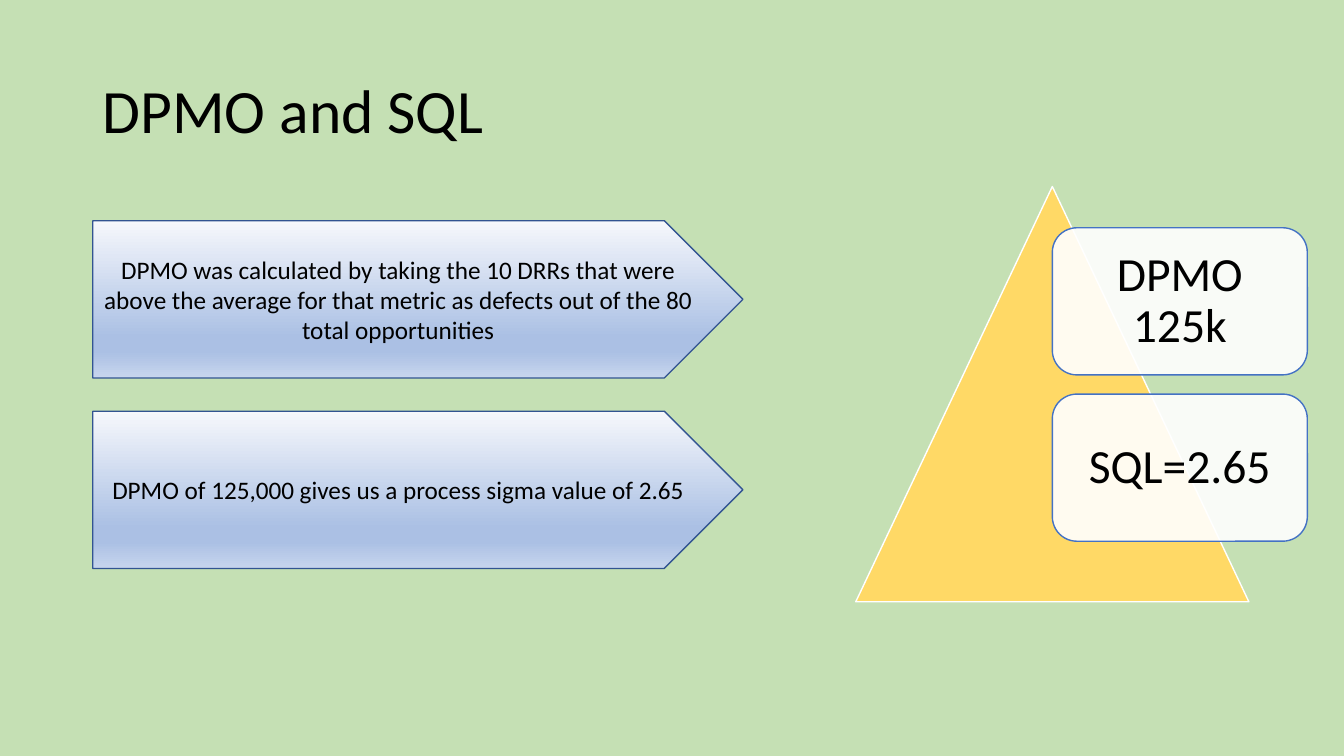
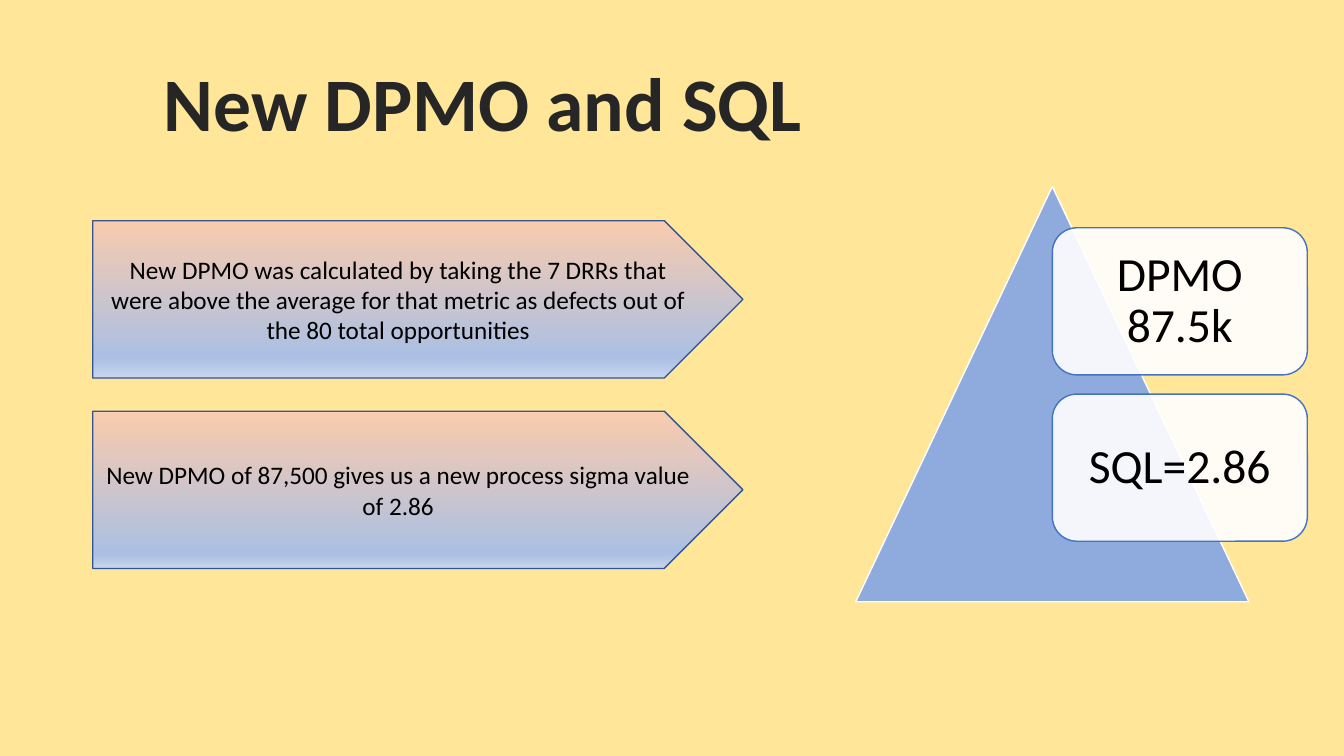
from lxml import etree
from pptx import Presentation
from pptx.dml.color import RGBColor
from pptx.enum.shapes import MSO_SHAPE
from pptx.enum.text import MSO_ANCHOR, PP_ALIGN
from pptx.oxml.ns import qn
from pptx.util import Pt

TRIANGLE = MSO_SHAPE.ISOSCELES_TRIANGLE
ROUNDED = MSO_SHAPE.ROUNDED_RECTANGLE
PENTAGON = MSO_SHAPE.PENTAGON
LEFT, CENTER = PP_ALIGN.LEFT, PP_ALIGN.CENTER
TOP, MIDDLE = MSO_ANCHOR.TOP, MSO_ANCHOR.MIDDLE

BLACK = RGBColor(0x00, 0x00, 0x00)
CHARCOAL = RGBColor(0x26, 0x26, 0x26)
WHITE = RGBColor(0xFF, 0xFF, 0xFF)
GREEN = RGBColor(0xC5, 0xE0, 0xB4)
YELLOW = RGBColor(0xFF, 0xE6, 0x99)
GOLD = RGBColor(0xFF, 0xD9, 0x66)
BLUE = RGBColor(0x8F, 0xAA, 0xDC)
CARD_LINE = RGBColor(0x44, 0x72, 0xC4)
ARROW_LINE = RGBColor(0x32, 0x54, 0x91)
MIST = RGBColor(0xF6, 0xF8, 0xFC)
PEACH = RGBColor(0xF8, 0xCB, 0xAD)
SKY = RGBColor(0xAB, 0xC0, 0xE4)
PALE = RGBColor(0xC7, 0xD5, 0xED)

FONT = "Calibri"
BLUE_FADE = [(0, MIST), (74, SKY), (83, SKY), (100, PALE)]
PEACH_FADE = [(0, PEACH), (87, SKY), (100, PALE)]
PEACH_FADE_EDGED = [(0, MIST), (1, PEACH), (91, SKY), (100, PALE)]

SLIDES = [
    {
        "background": GREEN,
        "triangle": GOLD,
        "title": "DPMO and SQL",
        "title_box": (66.24, 28.8, 828, 104.4),
        "title_para": {"alignment": LEFT, "line_spacing": 0.9},
        "title_font": {"size": Pt(44)},
        "title_color": BLACK,
        "title_frame": {"word_wrap": True, "vertical_anchor": MIDDLE},
        "cards": ["DPMO 125k", "SQL=2.65"],
        "arrows": [
            ("DPMO was calculated by taking the 10 DRRs that were above the average "
             "for that metric as defects out of the 80 total opportunities", BLUE_FADE),
            ("DPMO of 125,000 gives us a process sigma value of 2.65", BLUE_FADE),
        ],
    },
    {
        "background": YELLOW,
        "triangle": BLUE,
        "title": "New DPMO and SQL",
        "title_box": (107.28, 36.72, 475.2, 72.72),
        "title_para": {"alignment": CENTER},
        "title_font": {"size": Pt(54), "bold": True},
        "title_color": CHARCOAL,
        "title_frame": {"word_wrap": False, "vertical_anchor": TOP},
        "cards": ["DPMO 87.5k", "SQL=2.86"],
        "arrows": [
            ("New DPMO was calculated by taking the 7 DRRs that were above the average "
             "for that metric as defects out of the 80 total opportunities", PEACH_FADE),
            ("New DPMO of 87,500 gives us a new process sigma value of 2.86",
             PEACH_FADE_EDGED),
        ],
    },
]

TRIANGLE_BOX = (611.28, 133.2, 280.8, 296.64)
CARD_BOX, CARD_STEP = (751.68, 162.72, 182.16, 105.12), 118.8
ARROW_BOX, ARROW_STEP = (66.24, 157.68, 464.4, 112.32), 136.08
CARD_INSETS = dict.fromkeys(
    ("margin_left", "margin_top", "margin_right", "margin_bottom"), Pt(10.08))
BODY_FRAME = {"word_wrap": True, "vertical_anchor": MIDDLE}


def apply(target, values):
    for name, value in values.items():
        setattr(target, name, value)


def row_box(box, step, index):
    left, top, width, height = box
    return left, top + step * index, width, height


def write(sp, text, frame, para, font, color=BLACK):
    tf = sp.text_frame
    apply(tf, frame)
    p = tf.paragraphs[0]
    apply(p, para)
    r = p.add_run()
    r.text = text
    apply(r.font, {"name": FONT, **font})
    r.font.color.rgb = color


def add_outlined(s, kind, box, fill, line):
    sp = s.shapes.add_shape(kind, *map(Pt, box))
    sp.shadow.inherit = False
    sp.fill.solid()
    sp.fill.fore_color.rgb = fill
    sp.line.color.rgb = line
    sp.line.width = Pt(1)
    return sp


def set_alpha(sp, percent):
    color = sp.fill._xPr.find(qn("a:solidFill"))[0]
    etree.SubElement(color, qn("a:alpha"), val=str(percent * 1000))


def set_fade(sp, stops):
    sp.fill.gradient()
    sp.fill.gradient_angle = 270
    gs_list = sp.fill._xPr.find(qn("a:gradFill")).find(qn("a:gsLst"))
    for gs in list(gs_list):
        gs_list.remove(gs)
    for position, color in stops:
        gs = etree.SubElement(gs_list, qn("a:gs"), pos=str(position * 1000))
        etree.SubElement(gs, qn("a:srgbClr"), val=str(color))


prs = Presentation()
prs.slide_width, prs.slide_height = Pt(960), Pt(540)

for content in SLIDES:
    s = prs.slides.add_slide(prs.slide_layouts[6])
    s.background.fill.solid()
    s.background.fill.fore_color.rgb = content["background"]

    title = s.shapes.add_textbox(*map(Pt, content["title_box"]))
    write(title, content["title"], content["title_frame"], content["title_para"],
          content["title_font"], content["title_color"])

    add_outlined(s, TRIANGLE, TRIANGLE_BOX, content["triangle"], WHITE)

    for i, text in enumerate(content["cards"]):
        card = add_outlined(s, ROUNDED, row_box(CARD_BOX, CARD_STEP, i), WHITE, CARD_LINE)
        set_alpha(card, 90)
        write(card, text, {**BODY_FRAME, **CARD_INSETS},
              {"alignment": CENTER, "line_spacing": 0.9}, {"size": Pt(34)})

    for i, (text, fade) in enumerate(content["arrows"]):
        arrow = add_outlined(s, PENTAGON, row_box(ARROW_BOX, ARROW_STEP, i), SKY, ARROW_LINE)
        set_fade(arrow, fade)
        write(arrow, text, BODY_FRAME, {"alignment": CENTER}, {"size": Pt(18)})

prs.save("out.pptx")
